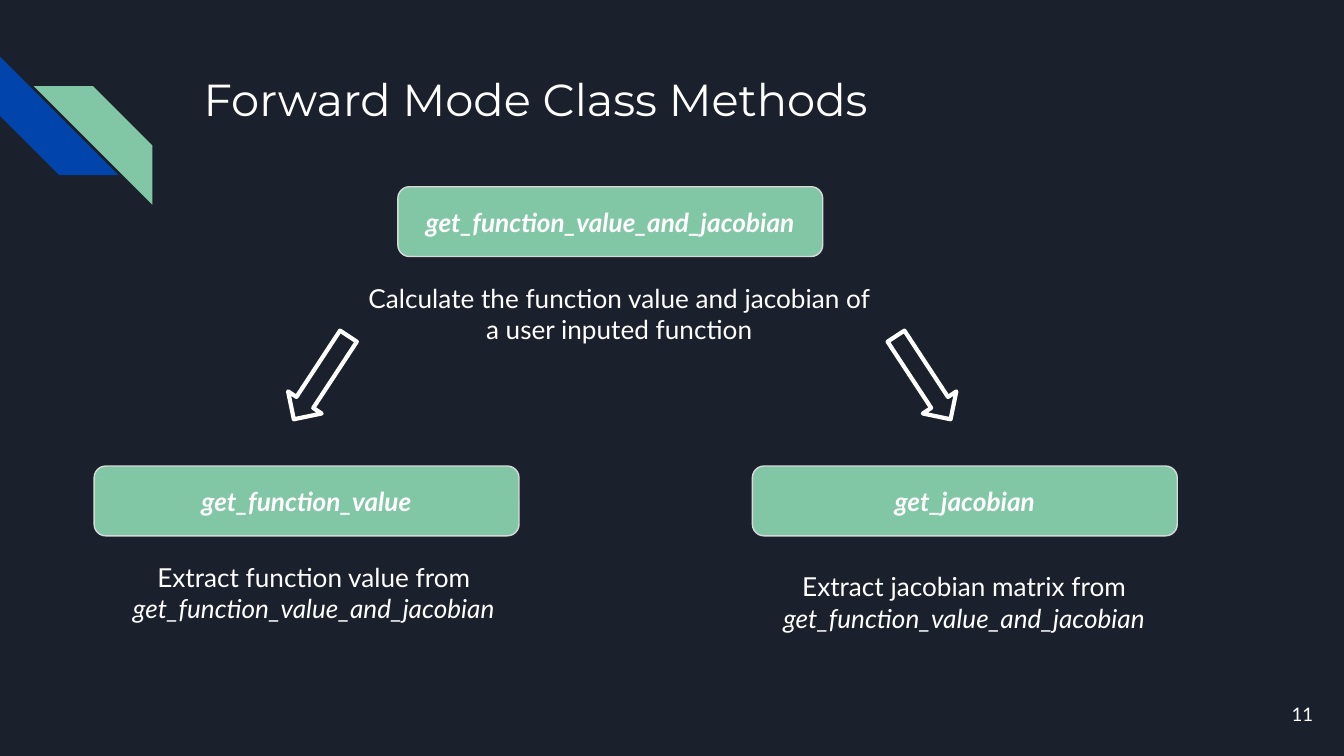
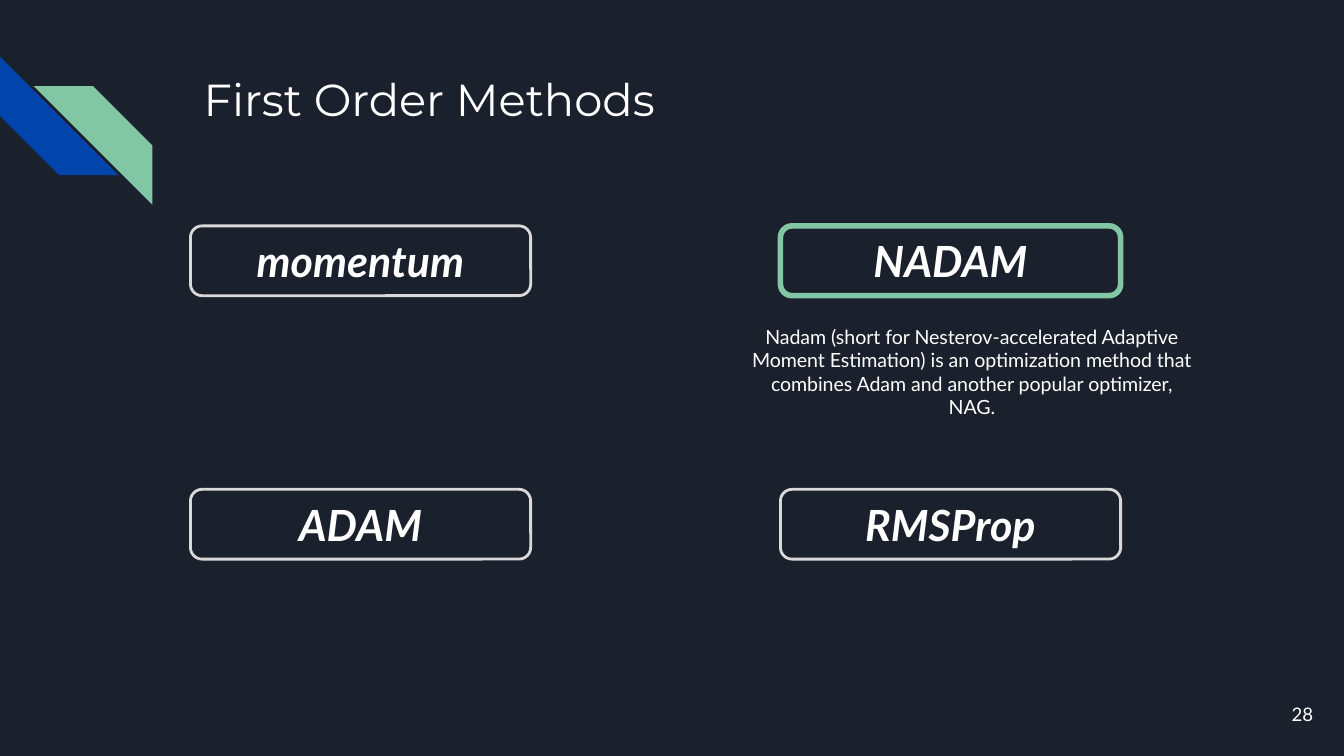
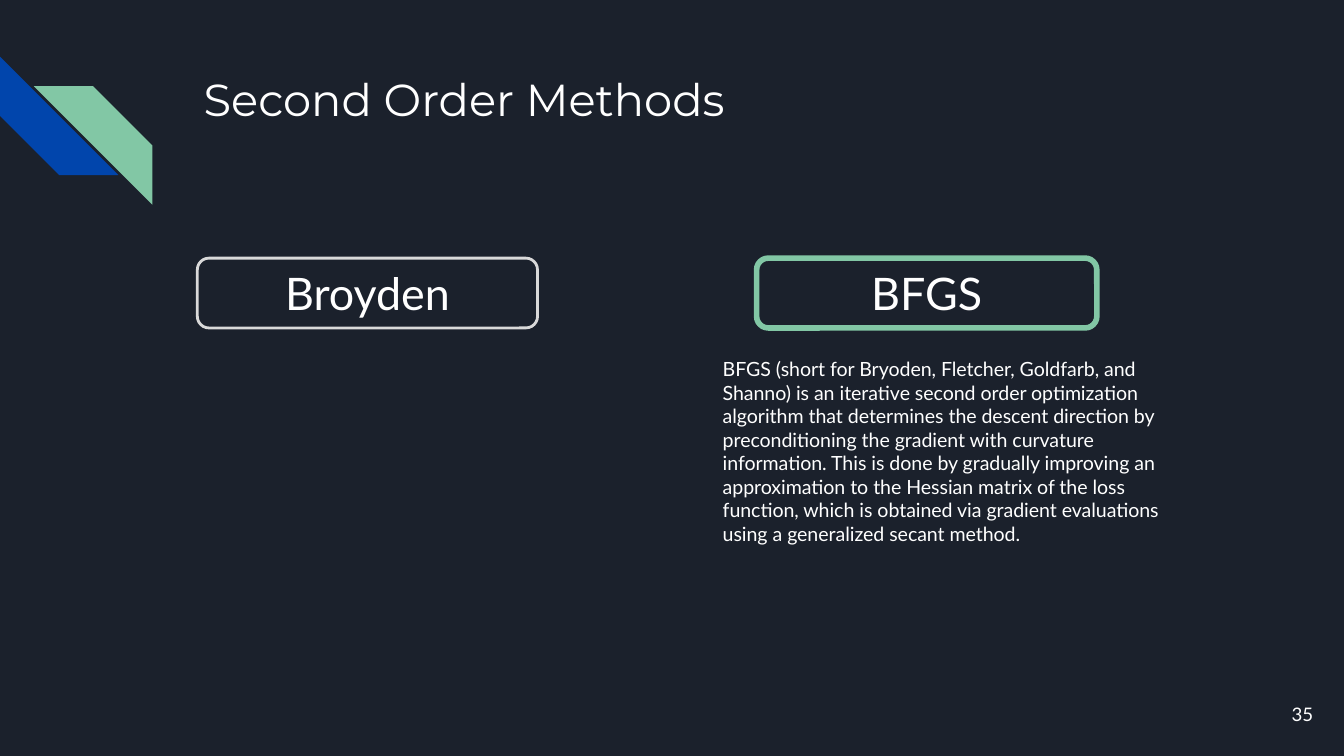
import pptx
import pptx.dml.color
import pptx.enum.shapes
import pptx.enum.text
import pptx.util
from dataclasses import dataclass

Cm, Pt = pptx.util.Cm, pptx.util.Pt
Shape = pptx.enum.shapes.MSO_SHAPE
Align = pptx.enum.text.PP_ALIGN
Anchor = pptx.enum.text.MSO_ANCHOR
Fit = pptx.enum.text.MSO_AUTO_SIZE


@dataclass(frozen=True)
class Theme:
    dark: str = "1B212C"
    blue: str = "0145AC"
    green: str = "82C7A5"
    grey: str = "D9D9D9"
    white: str = "FFFFFF"
    head: str = "Montserrat"
    body: str = "Lato"
    title: float = 24
    label: float = 14
    method: float = 23
    note: float = 10.5
    page: float = 10
    pad: float = 0.25
    pill: float = 1.32


T = Theme()


def rgb(code):
    return pptx.dml.color.RGBColor.from_string(code)


def assign(item, values):
    for name, value in values.items():
        setattr(item, name, value)


def place(box):
    return [Cm(n) for n in box]


def write(shape, runs, size, align=Align.CENTER, anchor=Anchor.TOP,
          fit=Fit.NONE, font=T.body):
    """Fill a shape with one paragraph of (text, font values) runs."""
    frame = shape.text_frame
    sides = ("left", "top", "right", "bottom")
    assign(frame, {f"margin_{side}": Cm(T.pad) for side in sides})
    assign(frame, {"word_wrap": True, "vertical_anchor": anchor,
                   "auto_size": fit})
    para = frame.paragraphs[0]
    para.alignment = align
    for text, style in runs:
        run = para.add_run()
        run.text = text
        assign(run.font, {"name": font, "size": Pt(size), **style})
        run.font.color.rgb = rgb(T.white)


def draw(slide, kind, box, fill=None, line=None, width=0, turn=0):
    shape = slide.shapes.add_shape(kind, *place(box))
    shape.shadow.inherit = False
    shape.rotation = turn
    if fill:
        shape.fill.solid()
        shape.fill.fore_color.rgb = rgb(fill)
    else:
        shape.fill.background()
    if line:
        shape.line.color.rgb = rgb(line)
        shape.line.width = Pt(width)
    else:
        shape.line.fill.background()
    return shape


def pill(slide, box, text, size, style, **look):
    shape = draw(slide, Shape.ROUNDED_RECTANGLE, box, **look)
    write(shape, [(text, style)], size, anchor=Anchor.MIDDLE)


def note(slide, box, runs, size, align=Align.CENTER):
    shape = slide.shapes.add_textbox(*place(box))
    write(shape, runs, size, align, fit=Fit.SHAPE_TO_FIT_TEXT)


def bands(slide, box):
    left, top, side = box
    for move, drop, color, turn in ((0, 0, T.blue, 270),
                                    (0.64, 0.56, T.green, 90)):
        draw(slide, Shape.DIAGONAL_STRIPE,
             (left + move, top + drop, side, side), fill=color, turn=turn)


def start(deck, title, page):
    """Add a slide with its bands, title and page number."""
    slide = deck.slides.add_slide(deck.slide_layouts[5])
    bands(slide, (0, 1.07, 2.24))
    head = slide.shapes.title
    spots = ("left", "top", "width", "height")
    assign(head, dict(zip(spots, place((3.6, 1.1, 19.56, 2.54)))))
    write(head, [(title, {})], T.title, Align.LEFT, font=T.head)
    foot = slide.shapes.add_textbox(*place((23.55, 12.95, 1.52, 1.09)))
    write(foot, [(page, {})], T.page, Align.RIGHT, Anchor.MIDDLE)
    return slide


def tree(slide, box):
    """Place one parent method above two child methods, joined by arrows."""
    left, top, width, drop = box
    wide = 8.03
    parent = "get_function_value_and_jacobian"
    slant = {"italic": True}
    nodes = (
        (left + width - wide, top + drop, "get_jacobian",
         (0.18, 1.73, 7.65), [("Extract jacobian matrix from ", {}), (parent, slant)]),
        (left, top + drop, "get_function_value",
         (0.28, 1.55, 7.75), [("Extract function value from ", {}), (parent, slant)]),
        (left + 5.74, top, parent, (-0.92, 1.55, 10.21),
         [("Calculate the function value and jacobian of a user inputed function", {})]),
    )
    for x, y, name, (move, fall, span), runs in nodes:
        pill(slide, (x, y, wide, T.pill), name, T.label,
             {"bold": True, "italic": True},
             fill=T.green, line=T.grey, width=0.75)
        note(slide, (x + move, y + fall, span, 1.7), runs, T.label)
    for move, turn in ((3.91, 33.3), (15.29, -33.3)):
        draw(slide, Shape.DOWN_ARROW, (left + move, top + 2.67, 0.76, 1.88),
             line=T.white, width=2.25, turn=turn)


def grid(slide, box, names, pick, text, size, style, align, tall):
    """Place methods in two columns; outline the picked one and explain it."""
    left, top, across, down = box
    for i, name in enumerate(names):
        row, col = divmod(i, 2)
        x, y = left + col * across, top + row * down
        look = {"line": T.grey, "width": 1.5}
        if name == pick:
            look = {"line": T.green, "width": 3}
            note(slide, (x - 0.89, y + 1.62, 9.02, tall), [(text, {})],
                 T.note, align)
        pill(slide, (x, y, 6.43, T.pill), name, size, style, **look)


def main():
    deck = pptx.Presentation()
    assign(deck, {"slide_width": Cm(25.4), "slide_height": Cm(14.29)})
    back = deck.slide_master.background.fill
    back.solid()
    back.fore_color.rgb = rgb(T.dark)

    tree(start(deck, "Forward Mode Class Methods", "11"),
         (1.78, 3.53, 20.47, 5.28))
    grid(start(deck, "First Order Methods", "28"), (3.6, 4.27, 11.15, 4.98),
         ("momentum", "NADAM", "ADAM", "RMSProp"), "NADAM",
         "Nadam (short for Nesterov-accelerated Adaptive Moment Estimation) "
         "is an optimization method that combines Adam and another popular "
         "optimizer, NAG.",
         T.method, {"bold": True, "italic": True}, Align.CENTER, 2.31)
    grid(start(deck, "Second Order Methods", "35"), (3.73, 4.88, 10.57, 0),
         ("Broyden", "BFGS"), "BFGS",
         "BFGS (short for Bryoden, Fletcher, Goldfarb, and Shanno) is an "
         "iterative second order optimization algorithm that determines the "
         "descent direction by preconditioning the gradient with curvature "
         "information. This is done by gradually improving an approximation "
         "to the Hessian matrix of the loss function, which is obtained via "
         "gradient evaluations using a generalized secant method.",
         T.title, {}, Align.LEFT, 4.11)
    deck.save("out.pptx")


if __name__ == "__main__":
    main()
